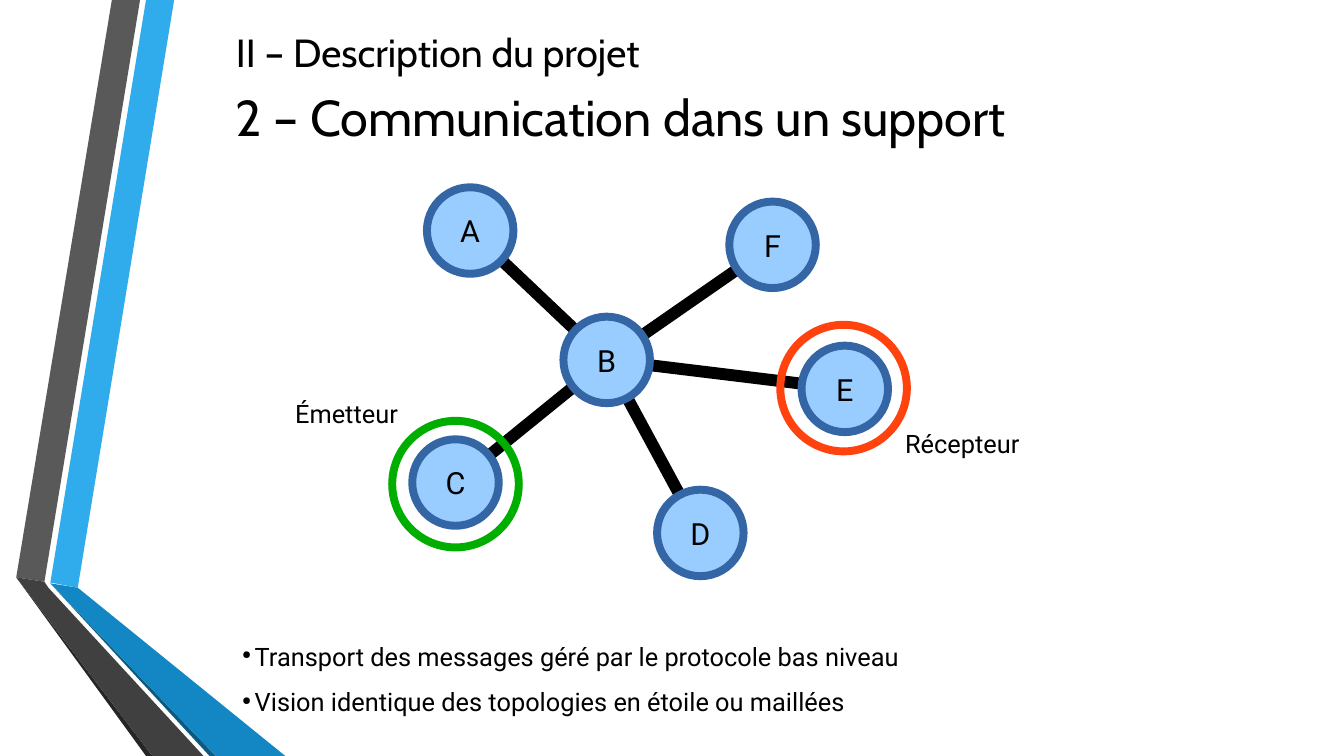
import pptx
import pptx.util
import pptx.dml.color
import pptx.enum.shapes
import pptx.enum.text
import pptx.oxml.ns
from lxml import etree

Cm = pptx.util.Cm
Pt = pptx.util.Pt
ANCHOR = pptx.enum.text.MSO_ANCHOR
ALIGN = pptx.enum.text.PP_ALIGN

COLORS = {
    "text": "000000",
    "link": "000000",
    "node": "99CCFF",
    "edge": "3465A4",
    "sender": "00AE00",
    "target": "FF420E",
    "blue": "30ACEC",
    "grey": "595959",
    "black": "262626",
    "navy": "0C5A82",
    "azure": "1287C3",
    "dark": "404040",
}

# Corners of each ribbon part, in cm
RIBBONS = [
    ("blue", [(1.27, 14.68), (1.96, 14.81), (4.39, 0), (3.68, 0)]),
    ("grey", [(3.53, 0), (2.82, 0), (0.41, 14.55), (1.12, 14.66)]),
    ("black", [(0.41, 14.55), (3.68, 19.05), (3.84, 19.05)]),
    ("navy", [(1.27, 14.7), (5.28, 19.05), (5.44, 19.05)]),
    ("azure", [(1.27, 14.7), (5.44, 19.05), (7.19, 19.05), (1.96, 14.81)]),
    ("dark", [(0.41, 14.55), (3.84, 19.05), (5.13, 19.05), (1.22, 14.81),
              (1.12, 14.66)]),
]

# Centre of each node, in cm
NODES = {
    "A": (11.85, 5.81),
    "B": (15.29, 9.07),
    "F": (19.47, 6.17),
    "C": (11.48, 12.16),
    "E": (21.29, 9.8),
    "D": (17.65, 13.43),
}
HUB = "B"
NODE_SIZE = 2.18
RING_SIZE = 3.19
RIM = 5.67

POINTS = [
    "Transport des messages géré par le protocole bas niveau",
    "Vision identique des topologies en étoile ou maillées",
]


def color(name):
    return pptx.dml.color.RGBColor.from_string(COLORS[name])


def style(par, font, size):
    for run in par.runs:
        run.font.name = font
        run.font.size = Pt(size)
        run.font.color.rgb = color("text")


def add_ribbon(slide, name, points):
    pairs = [(round(x * 100), round(y * 100)) for x, y in points]
    form = slide.shapes.build_freeform(*pairs[0], scale=Cm(0.01))
    form.add_line_segments(pairs[1:], close=True)
    shape = form.convert_to_shape()
    shape.shadow.inherit = False
    shape.fill.solid()
    shape.fill.fore_color.rgb = color(name)
    shape.line.fill.background()


def set_head(shape, text, top, size):
    shape.left, shape.top = Cm(5.69), Cm(top)
    shape.width, shape.height = Cm(22.86), Cm(1.4)
    frame = shape.text_frame
    frame.text = text
    frame.word_wrap = True
    frame.auto_size = pptx.enum.text.MSO_AUTO_SIZE.NONE
    frame.vertical_anchor = ANCHOR.MIDDLE
    par = frame.paragraphs[0]
    par.alignment = ALIGN.LEFT
    style(par, "Cabin", size)


def add_link(slide, start, end):
    line = slide.shapes.add_connector(
        pptx.enum.shapes.MSO_CONNECTOR.STRAIGHT,
        *(Cm(v) for v in start + end))
    line.line.color.rgb = color("link")
    line.line.width = Pt(8.5)
    etree.SubElement(line._element.spPr, pptx.oxml.ns.qn("a:effectLst"))


def add_disc(slide, center, size, edge):
    """Add an unfilled circle around a centre point."""
    x, y = center
    disc = slide.shapes.add_shape(
        pptx.enum.shapes.MSO_SHAPE.OVAL,
        Cm(x - size / 2), Cm(y - size / 2), Cm(size), Cm(size))
    disc.shadow.inherit = False
    disc.fill.background()
    disc.line.color.rgb = color(edge)
    disc.line.width = Pt(RIM)
    return disc


def add_node(slide, name, center):
    disc = add_disc(slide, center, NODE_SIZE, "edge")
    disc.fill.solid()
    disc.fill.fore_color.rgb = color("node")
    frame = disc.text_frame
    frame.text = name
    frame.word_wrap = False
    frame.vertical_anchor = ANCHOR.MIDDLE
    par = frame.paragraphs[0]
    par.alignment = ALIGN.CENTER
    style(par, "Roboto", 21.8)


def add_text(slide, lines, left, top, width, height):
    box = slide.shapes.add_textbox(Cm(left), Cm(top), Cm(width), Cm(height))
    frame = box.text_frame
    frame.word_wrap = True
    frame.margin_left = frame.margin_right = Cm(0.23)
    frame.margin_top = frame.margin_bottom = Cm(0.1)
    frame.text = "\n".join(lines)
    for par in frame.paragraphs:
        style(par, "Roboto", 18.1)
    return frame


def add_bullet(par):
    par.line_spacing = 1.5
    props = par._p.get_or_add_pPr()
    props.set("marL", str(Cm(0.32)))
    props.set("indent", str(-Cm(0.32)))
    qn = pptx.oxml.ns.qn
    etree.SubElement(props, qn("a:buSzPct")).set("val", "45000")
    etree.SubElement(props, qn("a:buChar")).set("char", "●")


def main():
    deck = pptx.Presentation()
    deck.slide_width, deck.slide_height = Cm(33.87), Cm(19.05)
    slide = deck.slides.add_slide(deck.slide_layouts[5])

    for name, points in RIBBONS:
        add_ribbon(slide, name, points)

    set_head(slide.shapes.title, "II – Description du projet", 0.61, 28)
    box = slide.shapes.add_textbox(0, 0, 0, 0)
    set_head(box, "2 – Communication dans un support", 2.24, 36)

    for name, center in NODES.items():
        if name != HUB:
            add_link(slide, center, NODES[HUB])
    for name, center in NODES.items():
        add_node(slide, name, center)

    for par in add_text(slide, POINTS, 5.87, 15.67, 17.8, 2.46).paragraphs:
        add_bullet(par)

    add_disc(slide, (11.48, 12.2), RING_SIZE, "sender")
    add_text(slide, ["Émetteur"], 7.21, 9.93, 3.43, 0.97)
    add_disc(slide, (21.26, 9.78), RING_SIZE, "target")
    add_text(slide, ["Récepteur"], 22.58, 10.69, 3.43, 0.97)

    deck.save("out.pptx")


if __name__ == "__main__":
    main()
